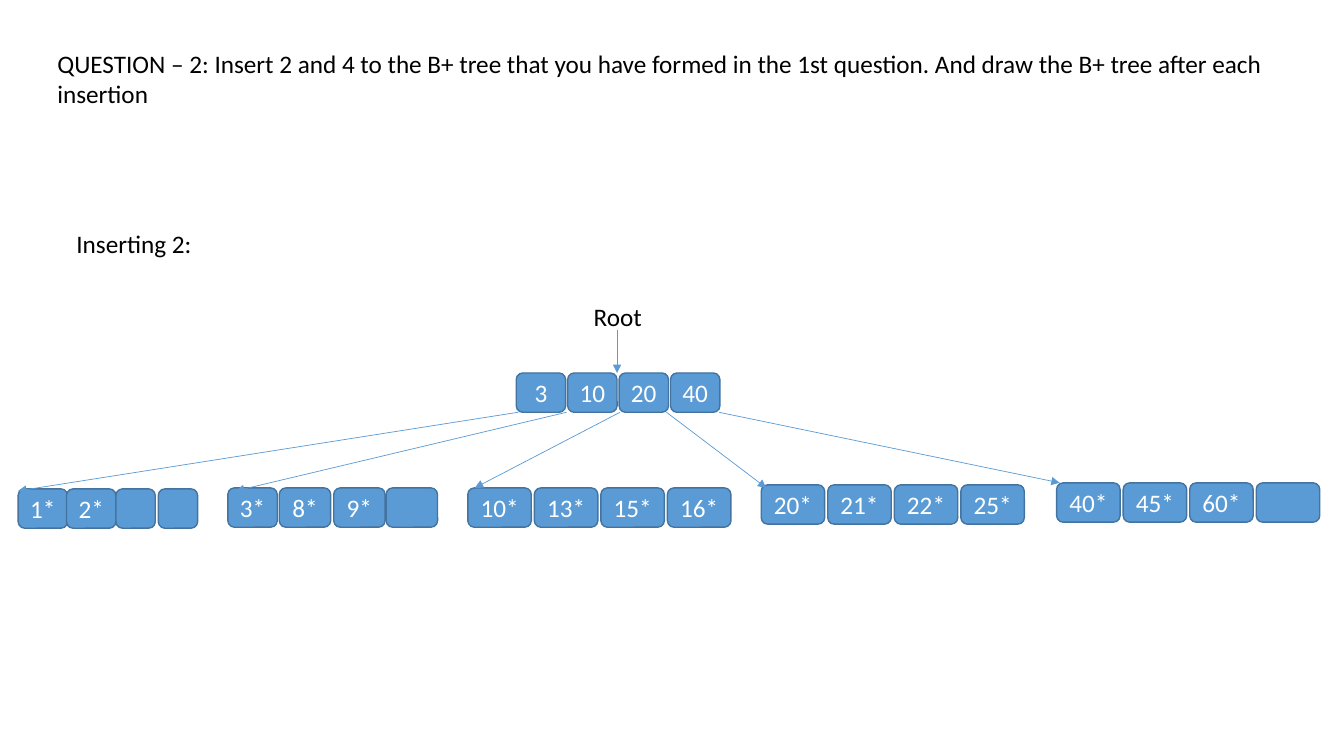
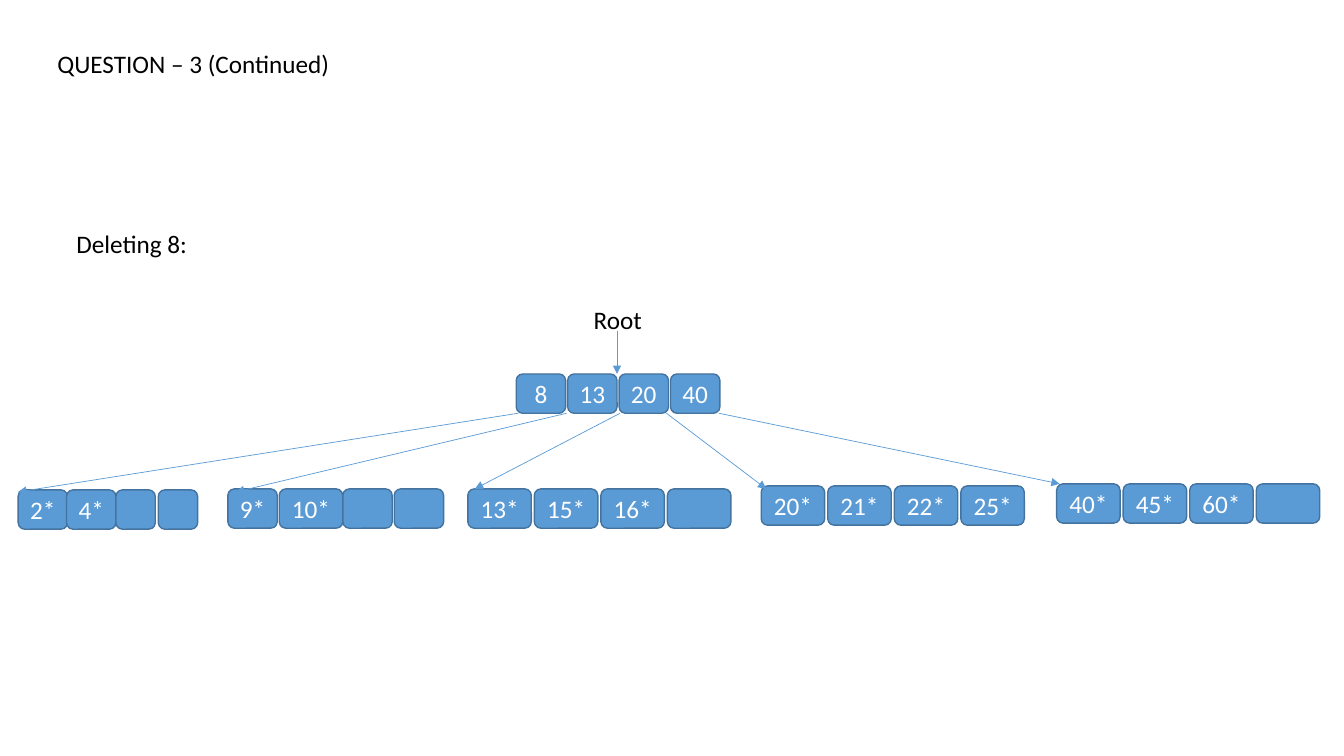
from pptx import Presentation
from pptx import util as u
from pptx.dml.color import RGBColor
from pptx.enum import shapes, text
from pptx.oxml.ns import qn
from lxml import etree

BLACK = RGBColor(0x00, 0x00, 0x00)
WHITE = RGBColor(0xFF, 0xFF, 0xFF)
BLUE = RGBColor(0x5B, 0x9B, 0xD5)
EDGE = RGBColor(0x43, 0x73, 0x9E)
FONT, SIZE = "Calibri", 18
CELL_H = 0.39
ROOT_TOP, LEAF_TOPS = 3.7, (4.85, 4.84, 4.84, 4.81, 4.79)


class TreeDeck:
    """Draw B+ tree slides in one shared style."""

    def __init__(self):
        self.prs = Presentation()
        self.prs.slide_width = u.Inches(13.33)
        self.prs.slide_height = u.Inches(7.5)
        self.s = None

    def slide(self, question, step):
        self.s = self.prs.slides.add_slide(self.prs.slide_layouts[6])
        self.label(0.47, 0.43, 12.41, question)
        self.label(0.66, 2.22, 3.44, step)

    def put_words(self, tf, words, color):
        p = tf.paragraphs[0]
        r = p.add_run()
        r.text = words
        r.font.name = FONT
        r.font.size = u.Pt(SIZE)
        r.font.color.rgb = color
        return p

    def label(self, x, y, w, words, wrap=True):
        sp = self.s.shapes.add_textbox(*map(u.Inches, (x, y, w, 0.4)))
        tf = sp.text_frame
        tf.word_wrap = wrap
        tf.auto_size = text.MSO_AUTO_SIZE.SHAPE_TO_FIT_TEXT
        self.put_words(tf, words, BLACK)

    def cell(self, x, y, w, key):
        sp = self.s.shapes.add_shape(
            shapes.MSO_SHAPE.ROUNDED_RECTANGLE, *map(u.Inches, (x, y, w, CELL_H)))
        sp.shadow.inherit = False
        sp.fill.solid()
        sp.fill.fore_color.rgb = BLUE
        sp.line.color.rgb = EDGE
        sp.line.width = u.Pt(1)
        if key:
            tf = sp.text_frame
            tf.word_wrap = False
            tf.vertical_anchor = text.MSO_ANCHOR.MIDDLE
            p = self.put_words(tf, key, WHITE)
            p.alignment = text.PP_ALIGN.CENTER

    def node(self, cells, y, keys):
        for (x, w), key in zip(cells, keys):
            self.cell(x, y, w, key)

    def arrow(self, x1, y1, x2, y2):
        c = self.s.shapes.add_connector(
            shapes.MSO_CONNECTOR.STRAIGHT, *map(u.Inches, (x1, y1, x2, y2)))
        c.line.color.rgb = BLUE
        c.line.width = u.Pt(0.5)
        props = c.element.spPr
        etree.SubElement(props.find(qn("a:ln")), qn("a:tailEnd"), type="triangle")
        etree.SubElement(props, qn("a:effectLst"))

    def tree(self, root, leaves, second_leaf, shift, root_label_y):
        self.node(ROOT_CELLS, ROOT_TOP + shift, root)
        layout = [FIRST_LEAF, second_leaf, *WIDE_LEAVES]
        for cells, y, keys in zip(layout, LEAF_TOPS, leaves):
            self.node(cells, y + shift, keys)
        for x1, x2, y2 in POINTERS:
            self.arrow(x1, ROOT_TOP + CELL_H + shift, x2, y2 + shift)
        self.arrow(6.12, 3.27 + shift, 6.12, ROOT_TOP + shift)
        self.label(5.79, root_label_y, 0.68, "Root", wrap=False)


def even(left, pitch, width):
    """Place four equal cells at a fixed pitch."""
    return [(left + i * pitch, width) for i in range(4)]


ROOT_CELLS = even(5.12, 0.51, 0.49)
FIRST_LEAF = [(0.18, 0.49), (0.66, 0.49), (1.15, 0.39), (1.57, 0.39)]
WIDE_LEAVES = [even(x, 0.66, 0.63) for x in (4.64, 7.55, 10.48)]
POINTERS = [(5.14, 0.18, 4.87), (5.62, 2.34, 4.87), (6.15, 4.71, 4.84),
            (6.61, 7.6, 4.84), (7.13, 10.51, 4.79)]
LAST_LEAVES = [["20*", "21*", "22*", "25*"], ["40*", "45*", "60*", ""]]

deck = TreeDeck()

deck.slide("QUESTION – 2: Insert 2 and 4 to the B+ tree that you have formed in the "
           "1st question. And draw the B+ tree after each insertion", "Inserting 2:")
deck.tree(["3", "10", "20", "40"],
          [["1*", "2*", "", ""], ["3*", "8*", "9*", ""],
           ["10*", "13*", "15*", "16*"], *LAST_LEAVES],
          [(2.26, 0.49), (2.77, 0.51), (3.31, 0.51), (3.83, 0.51)],
          shift=0, root_label_y=2.94)

deck.slide("QUESTION – 3 (Continued)", "Deleting 8:")
deck.tree(["8", "13", "20", "40"],
          [["2*", "4*", "", ""], ["9*", "10*", "", ""],
           ["13*", "15*", "16*", ""], *LAST_LEAVES],
          [(2.26, 0.49), (2.77, 0.63), (3.4, 0.49), (3.91, 0.49)],
          shift=0.01, root_label_y=2.97)

deck.prs.save("out.pptx")
